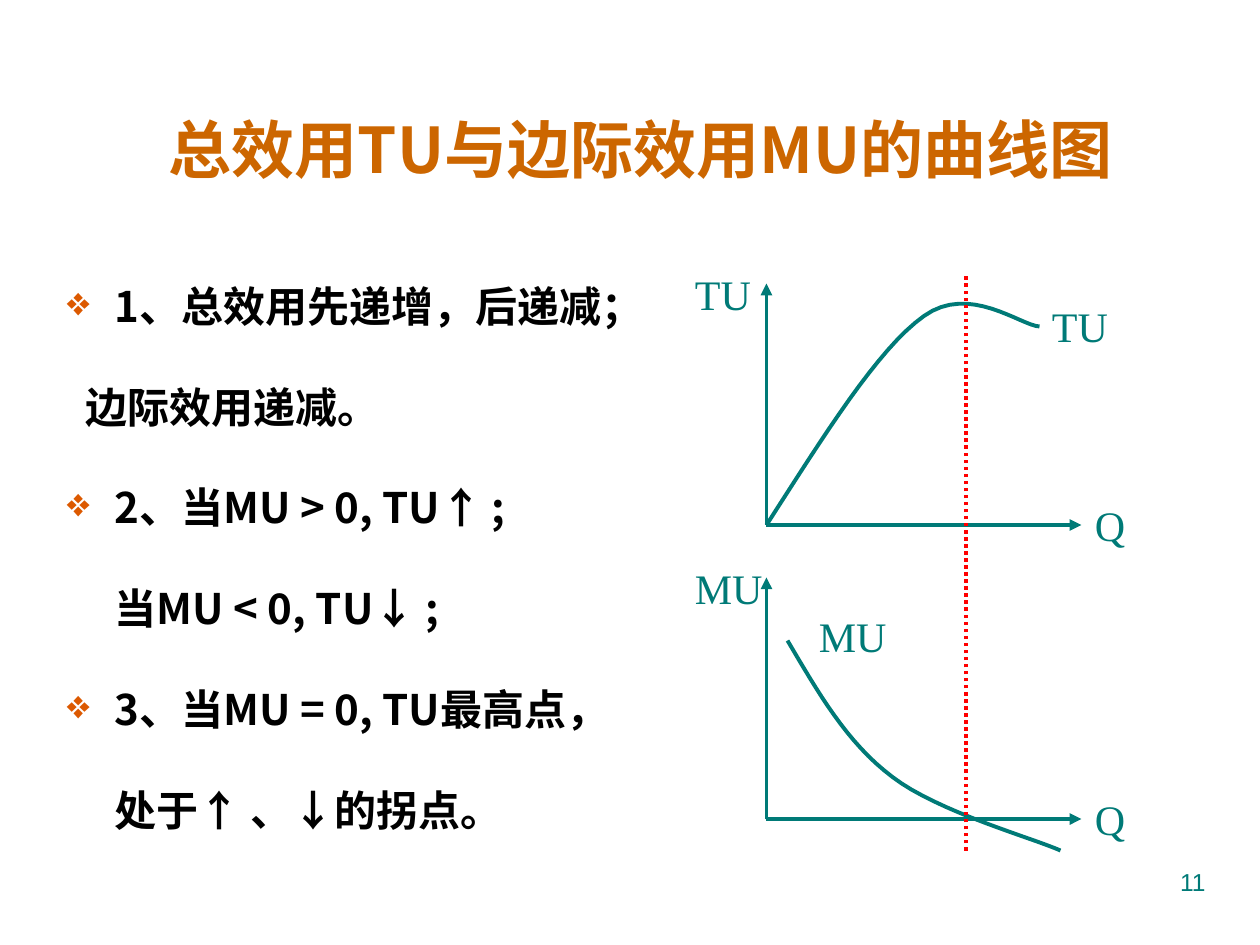
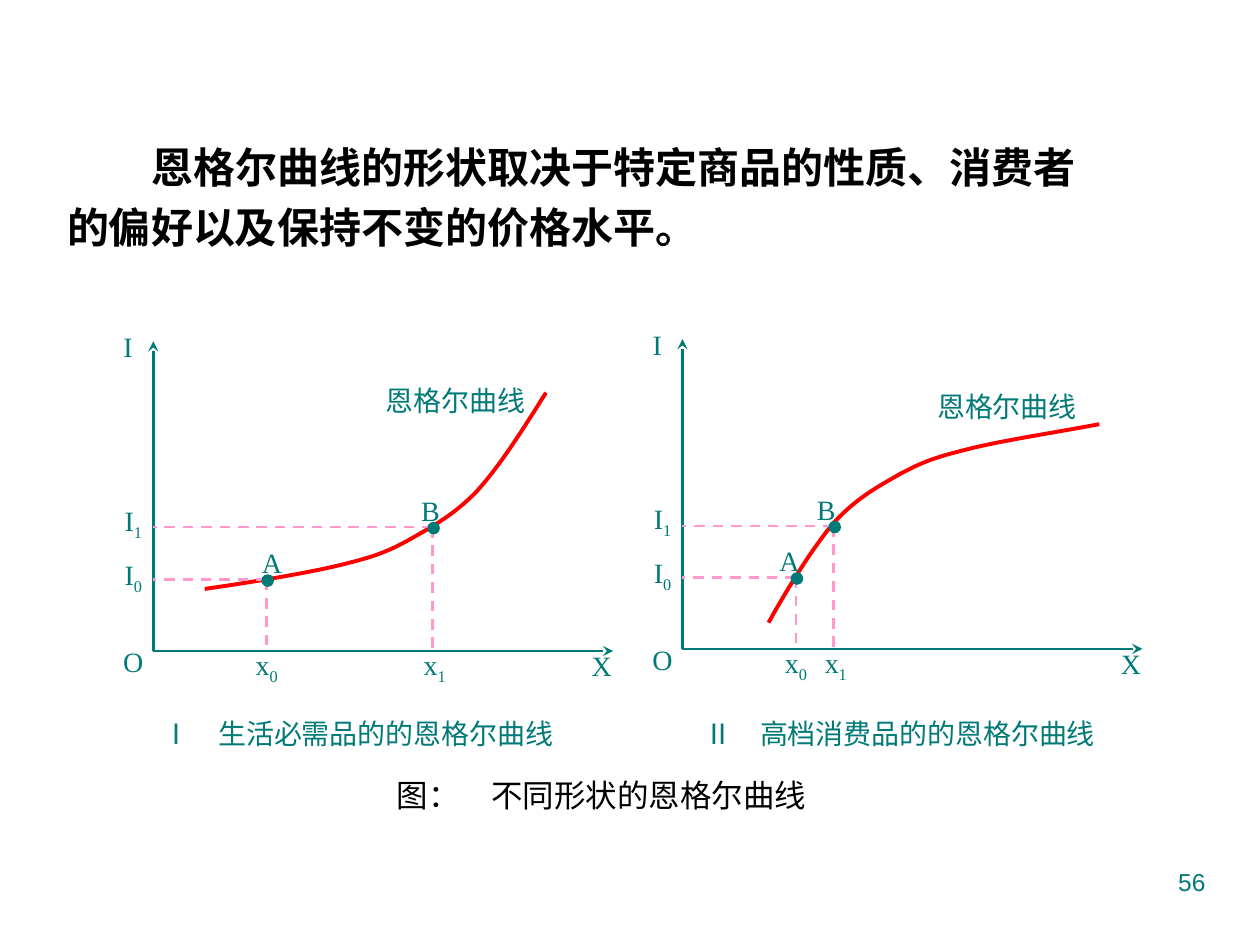
from dataclasses import dataclass

from lxml.etree import SubElement
from pptx import Presentation
from pptx.dml.color import RGBColor
from pptx.enum.dml import MSO_LINE_DASH_STYLE as Dash
from pptx.enum.shapes import MSO_CONNECTOR, MSO_SHAPE
from pptx.enum.text import MSO_ANCHOR, PP_ALIGN as Align
from pptx.oxml.ns import qn
from pptx.util import Emu, Inches, Pt

COLUMNS, ROWS = 120, 90
BLANK_LAYOUT, TITLE_LAYOUT = 6, 5


@dataclass(frozen=True)
class Theme:
    teal: str = "007A77"
    orange: str = "CC6600"
    bullet: str = "DC5900"
    black: str = "000000"
    red: str = "FF0000"
    pink: str = "FF99CC"
    cjk: str = "Noto Sans CJK SC"
    serif: str = "Times New Roman"
    sans: str = "Arial"
    title_size: int = 36
    body_size: int = 24
    caption_size: int = 18
    label_size: int = 16
    number_size: int = 14
    thick: float = 2.25
    thin: float = 1.5


class Deck:
    """Theme and current slide; lengths are cells of a 120 by 90 grid."""

    def __init__(self, theme):
        self.theme = theme
        self.show = Presentation()
        self.show.slide_width, self.show.slide_height = Inches(10), Inches(7.5)
        self.cell_width = self.show.slide_width / COLUMNS
        self.cell_height = self.show.slide_height / ROWS

    def emu(self, *cells):
        """Convert alternating columns and rows to lengths."""
        units = (self.cell_width, self.cell_height)
        return [Emu(round(cell * units[i % 2])) for i, cell in enumerate(cells)]

    def new_slide(self, number, title=None):
        layout = BLANK_LAYOUT if title is None else TITLE_LAYOUT
        self.slide = self.show.slides.add_slide(self.show.slide_layouts[layout])
        if title is not None:
            self.title(title)
        self.text(number, (86, 82, 30, 6.2), self.theme.number_size,
                  font=self.theme.sans, align=Align.RIGHT)

    def title(self, words):
        heading = self.slide.shapes.title
        heading.left, heading.top, heading.width, heading.height = self.emu(8.5, 9.1, 105, 10)
        heading.text_frame.text = words
        heading.text_frame.vertical_anchor = MSO_ANCHOR.MIDDLE
        paragraph = heading.text_frame.paragraphs[0]
        paragraph.alignment = Align.CENTER
        self.style(paragraph.runs[0], self.theme.title_size, self.theme.cjk,
                   self.theme.orange, True)

    def style(self, run, size, font, color, bold=False):
        run.font.size, run.font.bold, run.font.name = Pt(size), bold, font
        run.font.color.rgb = RGBColor.from_string(color)
        east_asian = SubElement(run._r.get_or_add_rPr(), qn("a:ea"))
        east_asian.set("typeface", self.theme.cjk)

    def frame(self, box, inset=(0.1, 0.05)):
        frame = self.slide.shapes.add_textbox(*self.emu(*box)).text_frame
        frame.word_wrap = True
        frame.margin_left = frame.margin_right = Inches(inset[0])
        frame.margin_top = frame.margin_bottom = Inches(inset[1])
        return frame

    def text(self, words, box, size, font=None, color=None, align=Align.LEFT,
             inset=(0.1, 0.05)):
        """Add one line of text; what follows an underscore is a subscript."""
        paragraph = self.frame(box, inset).paragraphs[0]
        paragraph.alignment = align
        for level, part in enumerate(words.split("_")):
            run = paragraph.add_run()
            run.text = part
            self.style(run, size, font or self.theme.serif, color or self.theme.teal)
            if level:
                run._r.get_or_add_rPr().set("baseline", "-25000")

    def label(self, words, center, top, width=6.5):
        self.text(words, (center - width / 2, top, width, 4.7), self.theme.label_size,
                  align=Align.CENTER, inset=(0.06, 0.04))

    def paragraphs(self, items, box, spacing, font):
        """Add bold paragraphs from (words, margin, first-line indent, bulleted)."""
        frame = self.frame(box)
        frame.text = "\n".join(words for words, *_ in items)
        for paragraph, (_, margin, indent, bulleted) in zip(frame.paragraphs, items):
            paragraph.line_spacing = spacing
            properties = paragraph._p.get_or_add_pPr()
            properties.set("marL", str(Inches(margin)))
            properties.set("indent", str(Inches(indent)))
            if bulleted:
                tint = SubElement(properties, qn("a:buClr"))
                SubElement(tint, qn("a:srgbClr")).set("val", self.theme.bullet)
                SubElement(properties, qn("a:buSzPct")).set("val", "96000")
                SubElement(properties, qn("a:buChar")).set("char", "❖")
            self.style(paragraph.runs[0], self.theme.body_size, font,
                       self.theme.black, True)

    def line(self, start, end, color, width, dash=None, arrow=None):
        connector = self.slide.shapes.add_connector(
            MSO_CONNECTOR.STRAIGHT, *self.emu(*start, *end))
        connector.line.color.rgb = RGBColor.from_string(color)
        connector.line.width = Pt(width)
        if dash is not None:
            connector.line.dash_style = dash
        if arrow:
            SubElement(connector.line._get_or_add_ln(), qn("a:tailEnd")).set("type", arrow)
        SubElement(connector._element.spPr, qn("a:effectLst"))

    def axes(self, origin, across, up, width, arrow):
        x, y = origin
        for tip in ((x, y - up), (x + across, y)):
            self.line(origin, tip, self.theme.teal, width, arrow=arrow)

    def curve(self, knots, color, steps=16):
        """Draw joined cubic Bezier arcs: a start, then three points per arc."""
        points = [knots[0]]
        for first in range(0, len(knots) - 1, 3):
            arc = knots[first:first + 4]
            for step in range(1, steps + 1):
                t = step / steps
                weights = ((1 - t) ** 3, 3 * t * (1 - t) ** 2, 3 * t * t * (1 - t), t ** 3)
                points.append(tuple(sum(w * knot[axis] for w, knot in zip(weights, arc))
                                    for axis in (0, 1)))
        vertices = [self.emu(*point) for point in points]
        builder = self.slide.shapes.build_freeform(*vertices[0])
        builder.add_line_segments(vertices[1:], close=False)
        outline = builder.convert_to_shape()
        outline.shadow.inherit = False
        outline.fill.background()
        outline.line.color.rgb = RGBColor.from_string(color)
        outline.line.width = Pt(self.theme.thick)

    def dot(self, x, y, size=1.2):
        marker = self.slide.shapes.add_shape(
            MSO_SHAPE.OVAL, *self.emu(x - size / 2, y - size / 2, size, size))
        marker.shadow.inherit = False
        marker.fill.solid()
        marker.fill.fore_color.rgb = RGBColor.from_string(self.theme.teal)
        marker.line.fill.background()


def utility_slide(deck):
    theme = deck.theme
    deck.new_slide("11", "总效用TU与边际效用MU的曲线图")
    deck.paragraphs([
        ("1、总效用先递增，后递减；", 0.38, -0.38, True),
        ("边际效用递减。", 0.15, 0, False),
        ("2、当MU > 0, TU↑ ;", 0.38, -0.38, True),
        ("当MU < 0, TU↓ ;", 0.38, 0, False),
        ("3、当MU = 0, TU最高点，", 0.38, -0.38, True),
        ("处于↑ 、↓的拐点。", 0.38, 0, False),
    ], (5.2, 21.3, 103, 62), 2.0, theme.cjk)

    graphs = [
        ("TU", 50, (99, 28),
         [(73, 50), (78.4, 41.6), (83.6, 33.2), (88, 30.1),
          (92.3, 27), (97.2, 31), (99, 31.1)]),
        ("MU", 78, (76.8, 57.6),
         [(75, 61), (77.9, 65.9), (80.6, 70.7), (85, 74),
          (89.3, 77.3), (98.3, 79.8), (101, 81)]),
    ]
    for name, base, name_at, knots in graphs:
        deck.axes((73, base), 30, 23, theme.thick, "triangle")
        deck.curve(knots, theme.teal)
        for words, left, top in ((name, 65, base - 25), ("Q", 103.1, base - 3),
                                 (name, *name_at)):
            deck.text(words, (left, top, 10, 6), theme.body_size)
    deck.line((92, 81), (92, 26), theme.red, 2, Dash.ROUND_DOT)


def engel_graph(deck, origin, knots, points, curve_label, caption, caption_center):
    """Draw one Engel curve; knots, points and labels are offsets from the origin."""
    theme = deck.theme
    x0, y0 = origin
    deck.axes(origin, 43.8, 29.5, theme.thin, "stealth")
    for words, dx, dy in (("O", -1.9, -1.1), ("X", 42.7, -0.7), ("I", -2.4, -31.1),
                          ("I_0", -1.9, -9.4), ("I_1", -1.9, -14.5)):
        deck.label(words, x0 + dx, y0 + dy)
    deck.curve([(x0 + dx, y0 + dy) for dx, dy in knots], theme.red)
    deck.label("恩格尔曲线", x0 + curve_label[0], y0 + curve_label[1], 21.5)
    for index, (name, dx, dy, shift) in enumerate(points):
        x, y = x0 + dx, y0 + dy
        for foot in ((x, y0), (x0, y)):
            deck.line((x, y), foot, theme.pink, theme.thin, Dash.DASH)
        deck.label(f"x_{index}", x + 0.2 * index, y0 - 0.8)
        deck.label(name, x + shift, y - 3.7)
        deck.dot(x + 0.1, y + 0.1)
    deck.text(caption, (x0 + caption_center - 22.3, 67.7, 44.6, 5), theme.label_size,
              font=theme.cjk, align=Align.CENTER)


def engel_slide(deck):
    theme = deck.theme
    deck.new_slide("56")
    deck.paragraphs(
        [("恩格尔曲线的形状取决于特定商品的性质、消费者的偏好以及保持不变的价格水平。",
          0, 0.67, False)],
        (5.2, 11.9, 100.2, 12.7), 1.2, theme.serif)
    deck.text("图：　不同形状的恩格尔曲线", (34.5, 73.3, 45.6, 5), theme.caption_size,
              font=theme.cjk, color=theme.black, align=Align.CENTER)
    engel_graph(
        deck, (14.6, 62),
        [(4.9, -5.9), (9.7, -6.6), (14.6, -7.4), (17.9, -8.2),
         (21.1, -9), (22.2, -9.4), (24.4, -10.6),
         (26.5, -11.8), (28.7, -13), (30.8, -15.2),
         (33, -17.6), (35.2, -21.1), (37.4, -24.6)],
        [("A", 10.8, -6.8, 0.5), ("B", 26.6, -11.8, -0.2)],
        (28.8, -26), "Ⅰ　生活必需品的的恩格尔曲线", 19.5)
    engel_graph(
        deck, (65, 61.8),
        [(8.2, -2.5), (10.2, -6.1), (12.4, -9.6), (14.4, -12),
         (16.6, -14.4), (18.7, -15.5), (20.8, -16.7),
         (22.9, -17.8), (23.9, -18.2), (27.1, -19),
         (30.2, -19.8), (34.9, -20.5), (39.7, -21.4)],
        [("A", 10.8, -6.8, -0.6), ("B", 14.4, -11.7, -0.7)],
        (30.9, -25.2), "Ⅱ　高档消费品的的恩格尔曲线", 20.7)


def main():
    deck = Deck(Theme())
    utility_slide(deck)
    engel_slide(deck)
    deck.show.save("out.pptx")


if __name__ == "__main__":
    main()
